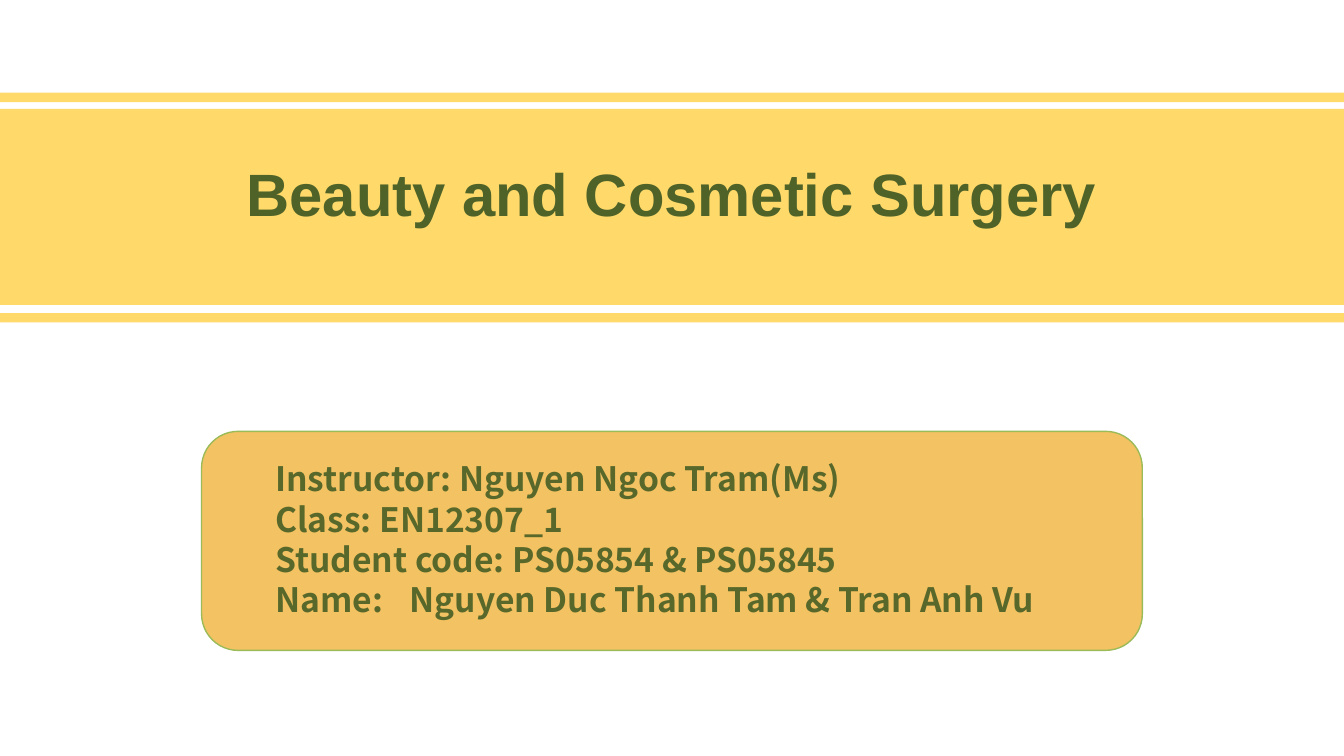
from pptx import Presentation
from pptx.dml.color import RGBColor
from pptx.enum.shapes import MSO_SHAPE as Shape
from pptx.enum.text import MSO_ANCHOR as Anchor, PP_ALIGN as Align
from pptx.oxml.ns import qn
from pptx.util import Inches, Pt
from lxml import etree

YELLOW = RGBColor(0xFF, 0xC0, 0x00)
ORANGE = RGBColor(0xF0, 0xB0, 0x31)
GREEN_LINE = RGBColor(0x9B, 0xBB, 0x59)
TITLE_GREEN = RGBColor(0x4F, 0x62, 0x28)
DETAIL_GREEN = RGBColor(0x58, 0x68, 0x2B)

# Top and height of each full-width band
BANDS = [(0.81, 1.46), (0.69, 0.07), (2.33, 0.07)]
DETAILS = [
    "Instructor: Nguyen Ngoc Tram(Ms)",
    "Class: EN12307_1",
    "Student code: PS05854 & PS05845",
    "Name:\tNguyen Duc Thanh Tam & Tran Anh Vu",
]


def add_panel(page, kind, left, top, width, height, color, opacity, line=None):
    """Add a translucent shape, outlined only if a line colour is given."""
    panel = page.shapes.add_shape(
        kind, Inches(left), Inches(top), Inches(width), Inches(height))
    panel.shadow.inherit = False
    panel.fill.solid()
    panel.fill.fore_color.rgb = color
    fill_color = panel._element.spPr.find(qn("a:solidFill"))[0]
    etree.SubElement(fill_color, qn("a:alpha"), val=str(opacity * 1000))
    if line is None:
        panel.line.fill.background()
    else:
        panel.line.color.rgb = line
        panel.line.width = Pt(0.75)


def add_text(page, left, top, width, height, lines, font, size, color,
             align=Align.LEFT, wrap=True, spacing=None):
    """Add a box of bold text with one paragraph per line."""
    box = page.shapes.add_textbox(
        Inches(left), Inches(top), Inches(width), Inches(height))
    frame = box.text_frame
    frame.word_wrap = wrap
    frame.vertical_anchor = Anchor.TOP
    frame.text = "\n".join(lines)
    for para in frame.paragraphs:
        para.alignment = align
        if spacing:
            para.line_spacing = spacing
        for span in para.runs:
            span.font.name = font
            span.font.size = Pt(size)
            span.font.bold = True
            span.font.color.rgb = color


def main():
    deck = Presentation()
    deck.slide_width = Inches(10)
    deck.slide_height = Inches(10 * 9 / 16)  # widescreen
    page = deck.slides.add_slide(deck.slide_layouts[6])

    # Title on its banner
    for top, height in BANDS:
        add_panel(page, Shape.RECTANGLE, 0, top, 10, height, YELLOW, 58)
    add_text(page, 0, 1.12, 10, 0.64, ["Beauty and Cosmetic Surgery"],
             "Arial", 32, TITLE_GREEN, align=Align.CENTER)

    # Course details card
    add_panel(page, Shape.ROUNDED_RECTANGLE, 1.5, 3.21, 7, 1.63,
              ORANGE, 76, line=GREEN_LINE)
    add_text(page, 1.95, 3.36, 6.1, 1.31, DETAILS, "Noto Sans CJK KR", 18,
             DETAIL_GREEN, wrap=False, spacing=Pt(21.6))

    deck.save("out.pptx")


if __name__ == "__main__":
    main()
